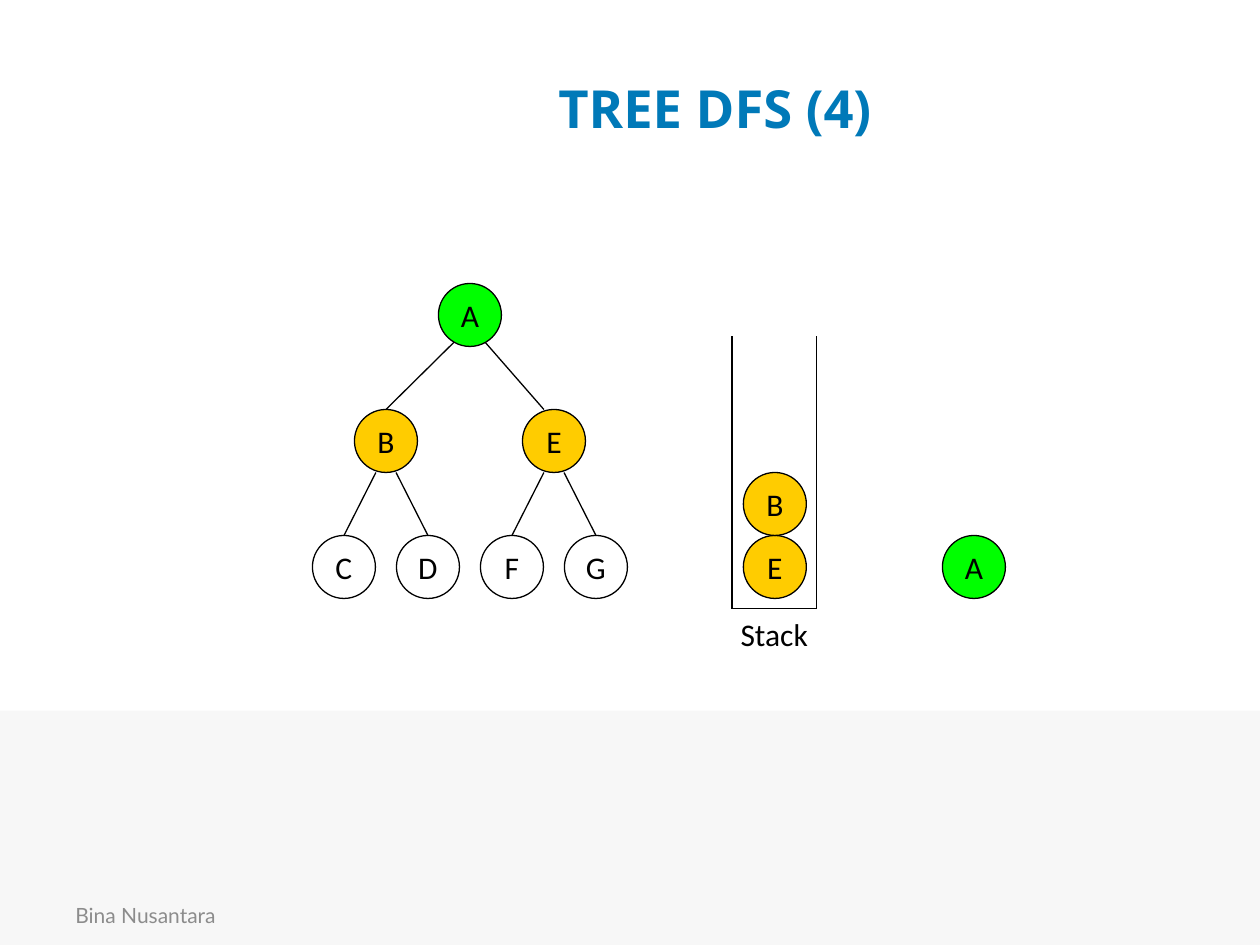
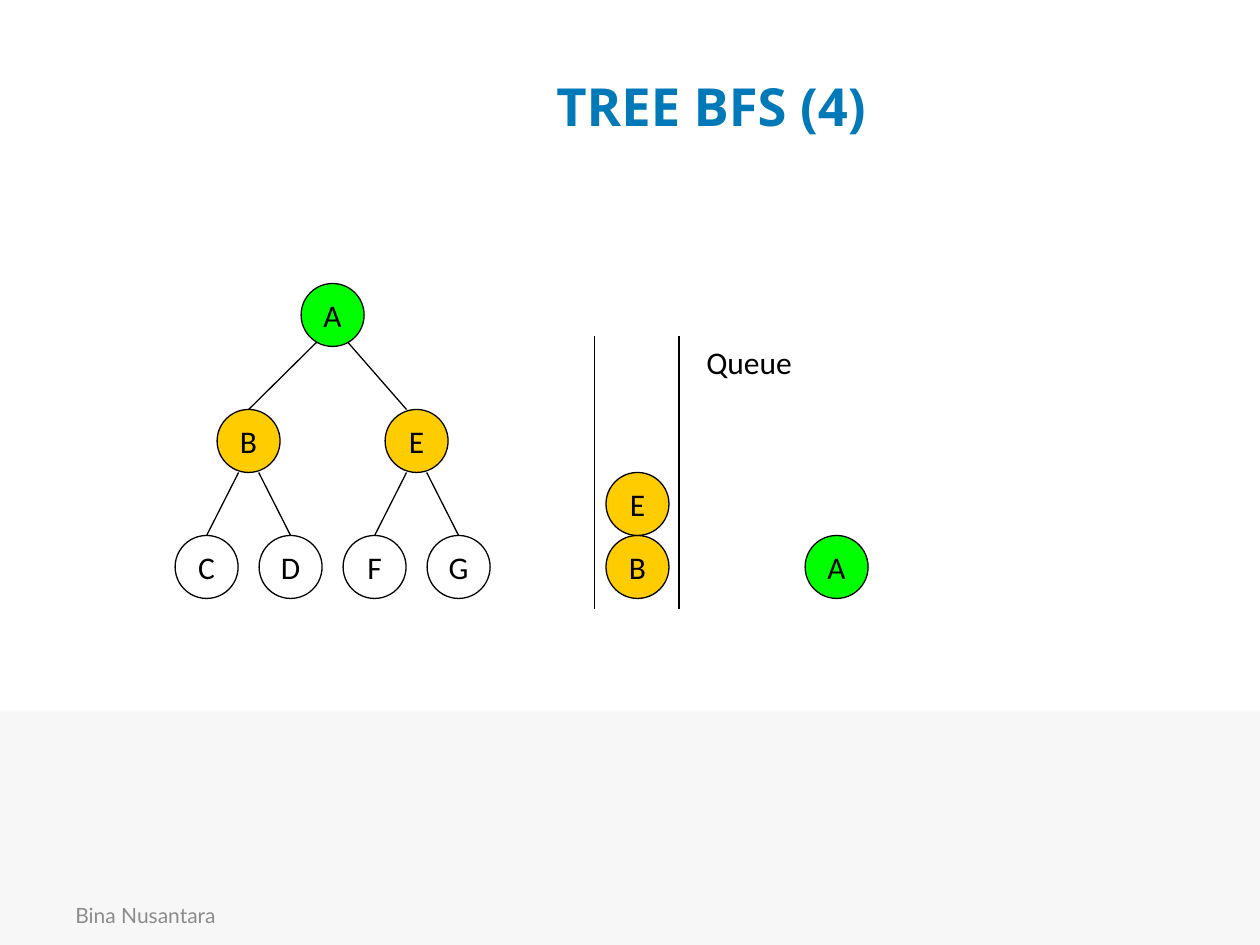
"""Build two slides comparing depth-first and breadth-first tree traversal."""
from dataclasses import dataclass

from pptx import Presentation
from pptx.dml.color import RGBColor
from pptx.enum.shapes import MSO_CONNECTOR, MSO_SHAPE
from pptx.enum.text import MSO_ANCHOR, MSO_AUTO_SIZE, PP_ALIGN
from pptx.oxml.ns import qn
from pptx.util import Inches, Pt


@dataclass(frozen=True)
class Theme:
    """Colours, fonts, type sizes and line width shared by the slides."""
    title_color: str = "0079B8"
    footer_color: str = "8C8C8C"
    band: str = "F7F7F7"
    ink: str = "000000"
    unvisited: str = "FFFFFF"
    waiting: str = "FFCC00"
    visited: str = "00FF00"
    title_font: str = "Open Sans"
    footer_font: str = "Lato"
    body_font: str = "Calibri"
    title_size: int = 30
    footer_size: int = 12
    body_size: int = 18
    line_width: float = 0.75


THEME = Theme()
NODE = 0.5
LEAF_PITCH = 2 / 3
LEVEL_PITCH = 1
TREE_TOP = 2.25
CONTAINER_TOP = 2.67
CONTAINER_WIDTH = 0.67
CONTAINER_HEIGHT = 2.16
BOTTOM_NODE_TOP = 4.25


def write(shape, text, font, size, color, align=PP_ALIGN.CENTER, bold=False):
    """Put one styled paragraph, vertically centred, in a shape."""
    text_frame = shape.text_frame
    text_frame.text = text
    text_frame.vertical_anchor = MSO_ANCHOR.MIDDLE
    paragraph = text_frame.paragraphs[0]
    paragraph.alignment = align
    run_font = paragraph.runs[0].font
    run_font.name = font
    run_font.size = Pt(size)
    run_font.bold = bold
    run_font.color.rgb = RGBColor.from_string(color)


def add_line(shapes, start, end):
    """Draw a thin straight line between two points."""
    points = [Inches(value) for value in (*start, *end)]
    line = shapes.add_connector(MSO_CONNECTOR.STRAIGHT, *points)
    line.line.color.rgb = RGBColor.from_string(THEME.ink)
    line.line.width = Pt(THEME.line_width)
    properties = line._element.spPr
    properties.append(properties.makeelement(qn("a:effectLst"), {}))


def add_node(shapes, left, top, letter, fill):
    """Draw a lettered circle."""
    node = shapes.add_shape(MSO_SHAPE.OVAL, Inches(left), Inches(top), Inches(NODE), Inches(NODE))
    node.shadow.inherit = False
    node.fill.solid()
    node.fill.fore_color.rgb = RGBColor.from_string(fill)
    node.line.color.rgb = RGBColor.from_string(THEME.ink)
    node.line.width = Pt(THEME.line_width)
    write(node, letter, THEME.body_font, THEME.body_size, THEME.ink)
    node.text_frame.word_wrap = False


def add_frame(slide, title_text, title_left, title_top):
    """Add the lower band, the footer and the title."""
    band = slide.shapes.add_shape(MSO_SHAPE.RECTANGLE, 0, Inches(5.64), Inches(10), Inches(1.86))
    band.shadow.inherit = False
    band.fill.solid()
    band.fill.fore_color.rgb = RGBColor.from_string(THEME.band)
    band.line.fill.background()

    footer = slide.shapes.add_textbox(Inches(0.5), Inches(7.06), Inches(2.33), Inches(0.4))
    footer.text_frame.word_wrap = True
    write(footer, "Bina Nusantara", THEME.footer_font, THEME.footer_size,
          THEME.footer_color, PP_ALIGN.LEFT)

    title = slide.shapes.title
    title.left, title.top = Inches(title_left), Inches(title_top)
    title.width, title.height = Inches(7.73), Inches(1.25)
    write(title, title_text, THEME.title_font, THEME.title_size, THEME.title_color, bold=True)


def add_tree(slide, left, top):
    """Draw the seven-node tree with its root visited and its children waiting."""
    shapes = slide.shapes.add_group_shape().shapes
    center = left + NODE / 2
    child_top = top + LEVEL_PITCH
    leaf_top = child_top + LEVEL_PITCH
    root = center + 1.5 * LEAF_PITCH
    parents = [center + (0.5 + 2 * index) * LEAF_PITCH for index in range(2)]

    for index in range(4):
        side = 0.08 if index % 2 else -0.08
        add_line(shapes, (center + index * LEAF_PITCH, leaf_top),
                 (parents[index // 2] + side, child_top + NODE))
    add_line(shapes, (parents[0], child_top), (root - 0.08, top + 0.42))
    add_line(shapes, (parents[1] - 0.08, child_top), (root + 0.08, top + 0.42))

    add_node(shapes, root - NODE / 2, top, "A", THEME.visited)
    for letter, parent in zip("BE", parents):
        add_node(shapes, parent - NODE / 2, child_top, letter, THEME.waiting)
    for index, letter in enumerate("CDFG"):
        add_node(shapes, left + index * LEAF_PITCH, leaf_top, letter, THEME.unvisited)


def add_container(slide, left, top, letters, closed):
    """Draw the walls of a stack or queue and its nodes from the bottom up."""
    shapes = slide.shapes.add_group_shape().shapes
    right, bottom = left + CONTAINER_WIDTH, top + CONTAINER_HEIGHT
    for wall in (left, right):
        add_line(shapes, (wall, bottom), (wall, top))
    if closed:
        add_line(shapes, (left, bottom), (right, bottom))
    for index, letter in enumerate(letters):
        add_node(shapes, left + 0.09, BOTTOM_NODE_TOP - index * NODE, letter, THEME.waiting)


def add_label(slide, left, top, width, text):
    """Name the container."""
    label = slide.shapes.add_textbox(Inches(left), Inches(top), Inches(width), Inches(0.4))
    write(label, text, THEME.body_font, THEME.body_size, THEME.ink)
    label.text_frame.word_wrap = False
    label.text_frame.auto_size = MSO_AUTO_SIZE.SHAPE_TO_FIT_TEXT
    label.text_frame.vertical_anchor = MSO_ANCHOR.TOP


def add_traversal(presentation, title, title_at, left, letters, closed, label):
    """Build one slide with a tree, its container and the visited node."""
    slide = presentation.slides.add_slide(presentation.slide_layouts[5])
    add_frame(slide, title, *title_at)
    add_tree(slide, left, TREE_TOP)
    add_node(slide.shapes, left + 5, BOTTOM_NODE_TOP, "A", THEME.visited)
    add_container(slide, left + 3.33, CONTAINER_TOP, letters, closed)
    add_label(slide, *label)


def main():
    """Build and save the presentation."""
    presentation = Presentation()
    presentation.slide_width, presentation.slide_height = Inches(10), Inches(7.5)
    add_traversal(presentation, "TREE DFS (4)", (1.81, 0.23), 2.48, "EB", True,
                  (5.73, 4.83, 0.83, "Stack"))
    add_traversal(presentation, "TREE BFS (4)", (1.78, 0.21), 1.39, "BE", False,
                  (5.47, 2.67, 0.95, "Queue"))
    presentation.save("out.pptx")


if __name__ == "__main__":
    main()
